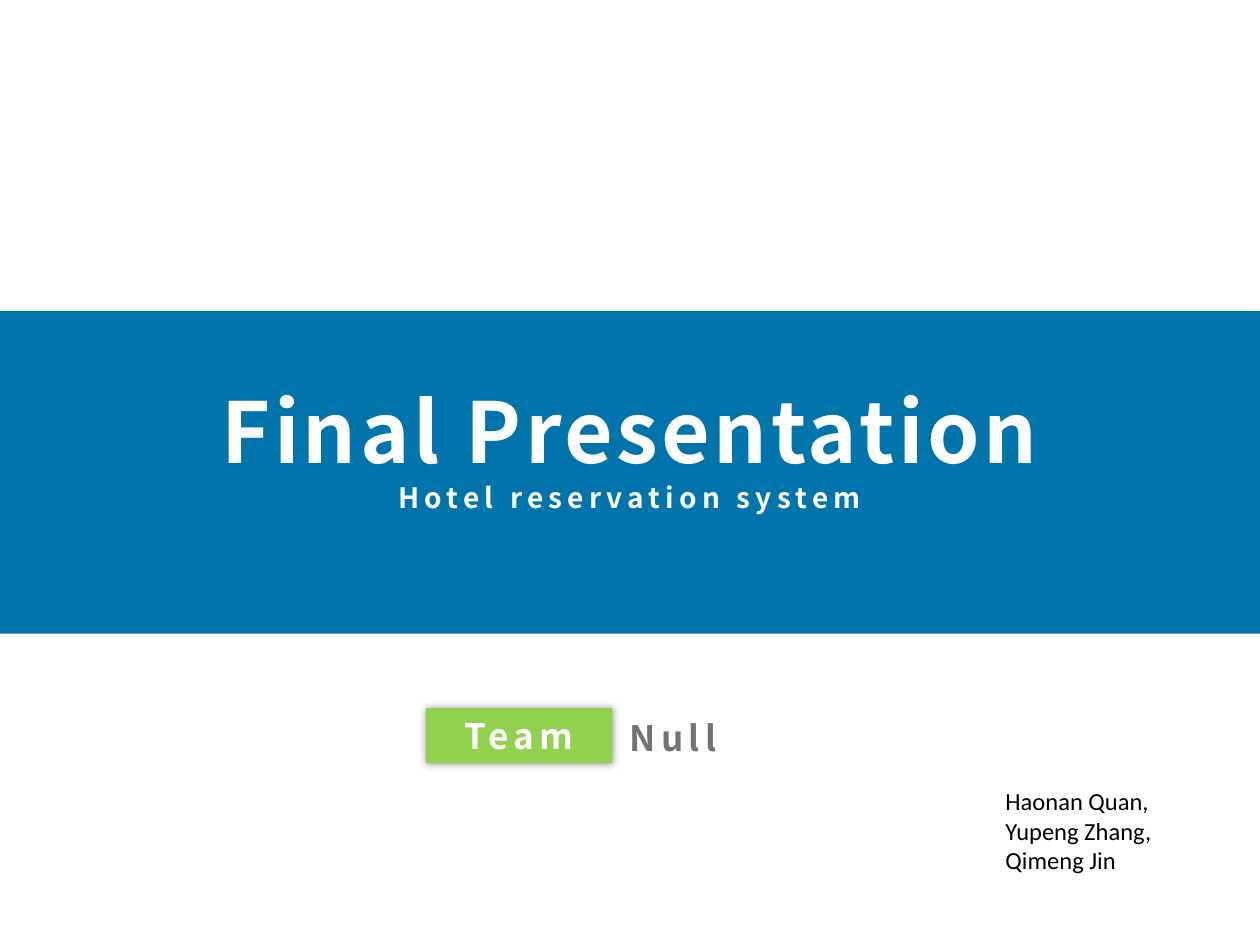
from lxml import etree
from pptx import Presentation
from pptx.dml.color import RGBColor
from pptx.enum.shapes import MSO_SHAPE
from pptx.enum.text import MSO_ANCHOR, MSO_AUTO_SIZE, PP_ALIGN
from pptx.oxml.ns import qn
from pptx.util import Inches, Pt

RECT = MSO_SHAPE.RECTANGLE
TOP, MIDDLE = MSO_ANCHOR.TOP, MSO_ANCHOR.MIDDLE
GROW, FIXED = MSO_AUTO_SIZE.SHAPE_TO_FIT_TEXT, MSO_AUTO_SIZE.NONE
LEFT, CENTER = PP_ALIGN.LEFT, PP_ALIGN.CENTER

BLUE = RGBColor(0x01, 0x74, 0xAB)
GREEN = RGBColor(0x92, 0xD1, 0x4F)
WHITE = RGBColor(0xFF, 0xFF, 0xFF)
GRAY = RGBColor(0x76, 0x71, 0x71)
BLACK = RGBColor(0, 0, 0)
HEAD_FONT, BODY_FONT = "Noto Sans CJK SC", "Calibri"


class Deck:
    def __init__(self, s):
        self.s = s

    def fill_text(self, sp, lines, color, font=HEAD_FONT, bold=True,
                  align=LEFT, anchor=TOP, fit=GROW):
        """Fill a shape with (text, size, letter spacing) lines."""
        tf = sp.text_frame
        frame = {"word_wrap": True, "auto_size": fit, "vertical_anchor": anchor}
        for side in ("left", "right", "top", "bottom"):
            frame["margin_" + side] = Inches(0.05)
        for name, value in frame.items():
            setattr(tf, name, value)
        for i, (text, size, spacing) in enumerate(lines):
            p = tf.add_paragraph() if i else tf.paragraphs[0]
            p.alignment = align
            r = p.add_run()
            r.text = text
            for name, value in {"name": font, "size": Pt(size), "bold": bold}.items():
                setattr(r.font, name, value)
            r.font.color.rgb = color
            if spacing:
                r._r.get_or_add_rPr().set("spc", str(spacing * 100))

    def title(self, box, lines, color):
        sp = self.s.shapes.title
        sp.left, sp.top, sp.width, sp.height = map(Inches, box)
        self.s.shapes._spTree.append(sp._element)  # bring above the band
        self.fill_text(sp, lines, color, align=CENTER)

    def rect(self, box, fill):
        sp = self.s.shapes.add_shape(RECT, *map(Inches, box))
        sp.shadow.inherit = False
        sp.fill.solid()
        sp.fill.fore_color.rgb = fill
        sp.line.fill.background()
        return sp

    def soft_shadow(self, sp, blur, alpha):
        effects = sp._element.spPr.find(qn("a:effectLst"))
        shadow = etree.SubElement(effects, qn("a:outerShdw"),
                                  blurRad=str(Pt(blur)), dist="0", algn="ctr")
        color = etree.SubElement(shadow, qn("a:srgbClr"), val="000000")
        etree.SubElement(color, qn("a:alpha"), val=str(alpha * 1000))

    def text(self, box, lines, color, **style):
        sp = self.s.shapes.add_textbox(*map(Inches, box))
        self.fill_text(sp, lines, color, **style)


def main():
    prs = Presentation()
    prs.slide_width, prs.slide_height = Inches(10), Inches(7.5)
    deck = Deck(prs.slides.add_slide(prs.slide_layouts[5]))

    # Title band
    deck.rect((0, 2.47, 10, 2.56), BLUE)
    deck.title((1.21, 2.96, 7.58, 1.17),
               [("Final Presentation", 48, 2), ("Hotel reservation system", 16, 3)],
               WHITE)

    # Team label and name
    label = deck.rect((3.38, 5.62, 1.48, 0.44), GREEN)
    deck.soft_shadow(label, blur=5, alpha=40)
    deck.fill_text(label, [("Team", 20, 3)], WHITE, align=CENTER,
                   anchor=MIDDLE, fit=FIXED)
    deck.text((4.95, 5.64, 1.67, 0.43), [("Null", 20, 3)], GRAY)

    # Members
    members = ("Haonan Quan,", "Yupeng Zhang,", "Qimeng Jin")
    deck.text((7.93, 6.19, 2.01, 0.81), [(name, 14, 0) for name in members],
              BLACK, font=BODY_FONT, bold=False)

    prs.save("out.pptx")


if __name__ == "__main__":
    main()
